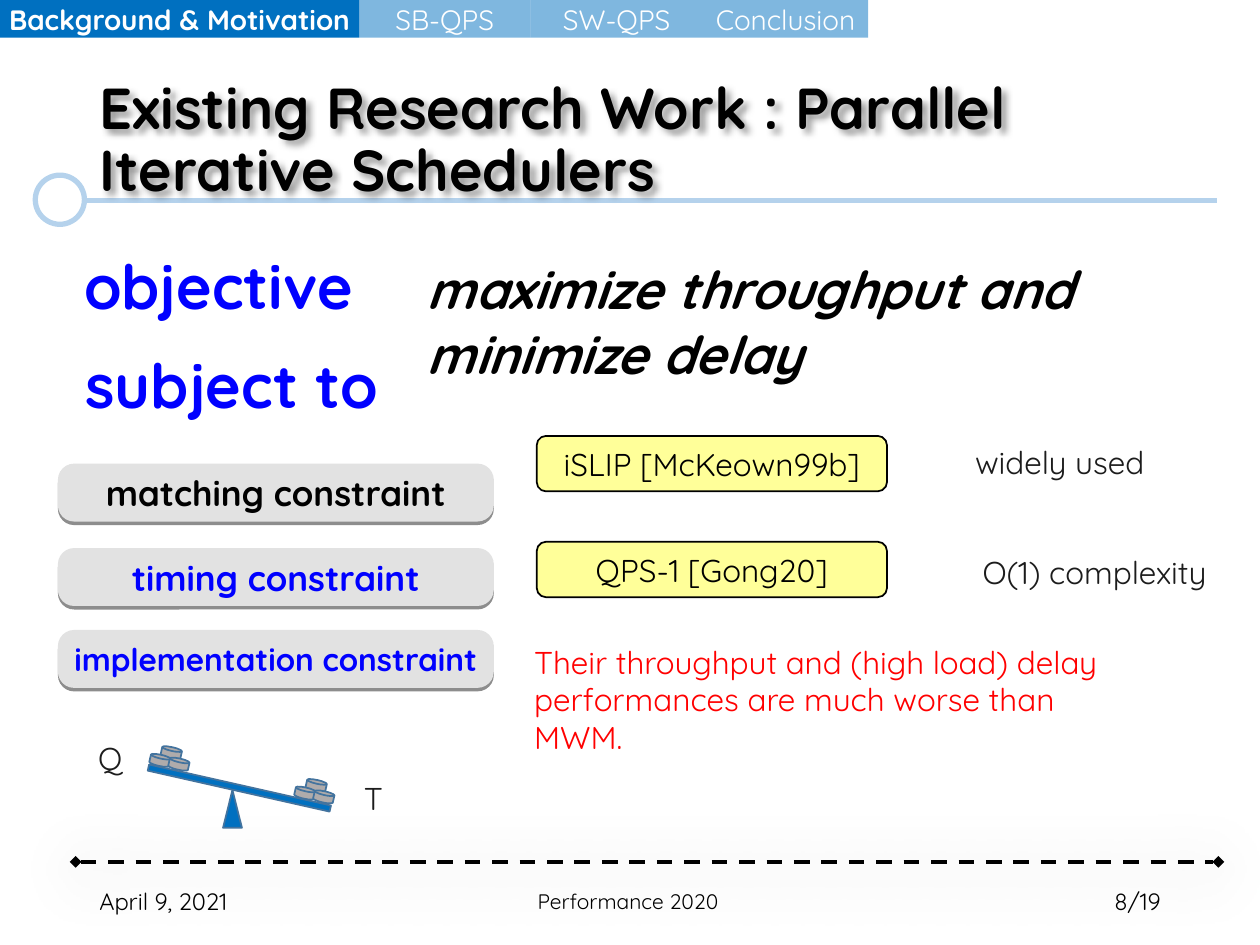
from lxml import etree
from pptx import Presentation
from pptx.dml.color import RGBColor
from pptx.enum import dml, shapes, text
from pptx.oxml.ns import qn
from pptx.util import Emu, Inches, Pt

FONT = "Quicksand"
HUES = {"black": "000000", "white": "FFFFFF", "ink": "1C1C1C", "red": "FF0000",
        "pure": "0000FF", "blue": "0070C0", "edge": "43739E", "rule": "B5D2EC",
        "grey": "E2E2E2", "cream": "FFFF99", "coin": "AFABAB"}
KIND = shapes.MSO_SHAPE
LEFT, MID, RIGHT = text.PP_ALIGN.LEFT, text.PP_ALIGN.CENTER, text.PP_ALIGN.RIGHT
BAR = (0, 0.05, 0, 0.05)

TITLE = "Existing Research Work : Parallel Iterative Schedulers"
GOAL = [("objective\t", 35, "pure", True, False),
        ("maximize throughput and minimize delay", 30, "black", True, True)]
TABS = [("Background & Motivation", 2.85), ("SB-QPS", 1.36),
        ("SW-QPS", 1.37), ("Conclusion", 1.31)]
LIMITS = [("matching constraint", 20, "black", 3.68),
          ("timing constraint", 20, "pure", 4.35),
          ("implementation constraint", 18, "pure", 5.0)]
WORKS = [("iSLIP [McKeown99b]", 3.46, "widely used", 7.64, 3.47),
         ("QPS-1 [Gong20]", 4.3, "O(1) complexity", 7.7, 4.34)]
VERDICT = "Their throughput and (high load) delay performances are much worse than MWM."
FOOT = [("Performance 2020", 12, 2.41, 5.15, MID),
        ("April 9, 2021", 13.5, 0.69, 2.25, LEFT),
        ("8/19", 13.5, 7.06, 2.25, RIGHT)]
PILES = [(1.28, 5.93), (2.43, 6.19)]
COINS = [(0, 0), (-0.09, 0.06), (0.06, 0.09)]
SIDES = [("Q", 0.68, 5.82, 0.42), ("T", 2.79, 6.13, 0.31)]
TILT = 12.7

deck = Presentation()
deck.slide_width, deck.slide_height = Inches(10), Inches(7.5)
slide = deck.slides.add_slide(deck.slide_layouts[6])


def hue(name):
    return RGBColor.from_string(HUES[name])


def sub(node, tag, **attrs):
    return etree.SubElement(node, qn("a:" + tag), {k: str(v) for k, v in attrs.items()})


def cast(item, name, alpha, blur, dist, angle):
    """Give an item an outer shadow; lengths in points, alpha in percent."""
    glow = sub(sub(item._element.spPr, "effectLst"), "outerShdw", blurRad=Pt(blur),
               dist=Pt(dist), dir=angle * 60000, algn="ctr", rotWithShape=0)
    sub(sub(glow, "srgbClr", val=HUES[name]), "alpha", val=alpha * 1000)


def write(item, runs, align=LEFT, wrap=True, mid=False, inset=None):
    frame = item.text_frame
    frame.word_wrap = wrap
    frame.vertical_anchor = text.MSO_ANCHOR.MIDDLE if mid else text.MSO_ANCHOR.TOP
    if inset:
        (frame.margin_left, frame.margin_top,
         frame.margin_right, frame.margin_bottom) = map(Inches, inset)
    para = frame.paragraphs[0]
    para.alignment = align
    for words, size, name, bold, slant in runs:
        run = para.add_run()
        run.text = words
        font = run.font
        font.name, font.size, font.bold, font.italic = FONT, Pt(size), bold, slant
        font.color.rgb = hue(name)
    return para


def label(words, size, name, at, bold=False, **opts):
    box = slide.shapes.add_textbox(*map(Inches, at))
    runs = words if isinstance(words, list) else [(words, size, name, bold, False)]
    return box, write(box, runs, **opts)


def shape(kind, at, fill, line=None, width=1, turn=0):
    item = slide.shapes.add_shape(kind, *map(Inches, at))
    item.fill.solid()
    item.fill.fore_color.rgb = hue(fill)
    if line:
        item.line.color.rgb = hue(line)
        item.line.width = Pt(width)
    else:
        item.line.fill.background()
    item.rotation = turn
    return item


def rule(x1, x2, y, name, width):
    item = slide.shapes.add_connector(
        shapes.MSO_CONNECTOR.STRAIGHT, *map(Inches, (x1, y, x2, y)))
    item.line.color.rgb = hue(name)
    item.line.width = Pt(width)
    return item


# Title and rules
sub(rule(0.69, 9.66, 1.59, "rule", 3)._element.spPr, "effectLst")
shape(KIND.OVAL, (0.28, 1.39, 0.39, 0.39), "white", "rule", 3).shadow.inherit = False
base = rule(0.6, 9.67, 6.84, "black", 2.25)
base.line.dash_style = dml.MSO_LINE.DASH
for end in ("headEnd", "tailEnd"):
    sub(base.line._ln, end, type="diamond")
cast(base, "black", 43, 36, 4, 90)
box, para = label(TITLE, 33, "black", (0.69, 0.4, 8.95, 1.45), True, mid=True)
para.line_spacing = 0.9
cast(box, "black", 40, 4, 3, 45)

for words, size, x, w, align in FOOT:
    label(words, size, "black", (x, 6.95, w, 0.4), align=align, mid=True)

# Objective and constraints
box, para = label(GOAL, 0, "", (0.57, 1.92, 9.07, 1.19))
hang = Inches(2.72)
props = para._p.get_or_add_pPr()
props.set("marL", str(hang))
props.set("indent", str(Emu(-hang)))
label("subject to", 35, "pure", (0.58, 2.71, 2.54, 0.69), True, wrap=False)
for words, size, name, y in LIMITS:
    plate = shape(KIND.ROUNDED_RECTANGLE, (0.46, y, 3.46, 0.46), "grey")
    plate.adjustments[0] = 0.28
    cast(plate, "ink", 50, 0, 2, 90)
    write(plate, [(words, size, name, True, False)], MID, wrap=False, mid=True)

# Known schedulers
for words, y, note, nx, ny in WORKS:
    card = shape(KIND.ROUNDED_RECTANGLE, (4.26, y, 2.78, 0.44), "cream", "black")
    card.shadow.inherit = False
    write(card, [(words, 18, "black", False, False)], MID, mid=True)
    label(note, 18, "ink", (nx, ny, 2.16, 0.4), wrap=False)
label(VERDICT, 18, "red", (4.14, 5.05, 4.81, 1.01))

# Seesaw
shape(KIND.ISOSCELES_TRIANGLE, (1.77, 6.27, 0.15, 0.3), "blue", "edge").shadow.inherit = False
shape(KIND.RECTANGLE, (1.16, 6.23, 1.48, 0.05), "blue", "edge", 1, TILT).shadow.inherit = False
for x, y in PILES:
    for dx, dy in COINS:
        coin = shape(KIND.FLOWCHART_MAGNETIC_DISK, (x + dx, y + dy, 0.16, 0.09),
                     "coin", "edge", 1, TILT)
        coin.shadow.inherit = False
for words, x, y, w in SIDES:
    label(words, 18, "ink", (x, y, w, 0.4), wrap=False)

# Section tabs
x = 0
for i, (words, w) in enumerate(TABS):
    tab = shape(KIND.RECTANGLE, (x, 0, w, 0.3), "blue")
    tab.shadow.inherit = False
    if i:
        sub(tab._element.spPr.find(".//" + qn("a:srgbClr")), "alpha", val=50000)
    write(tab, [(words, 16, "white", i == 0, False)], MID, mid=True, inset=BAR)
    x += w

deck.save("out.pptx")
